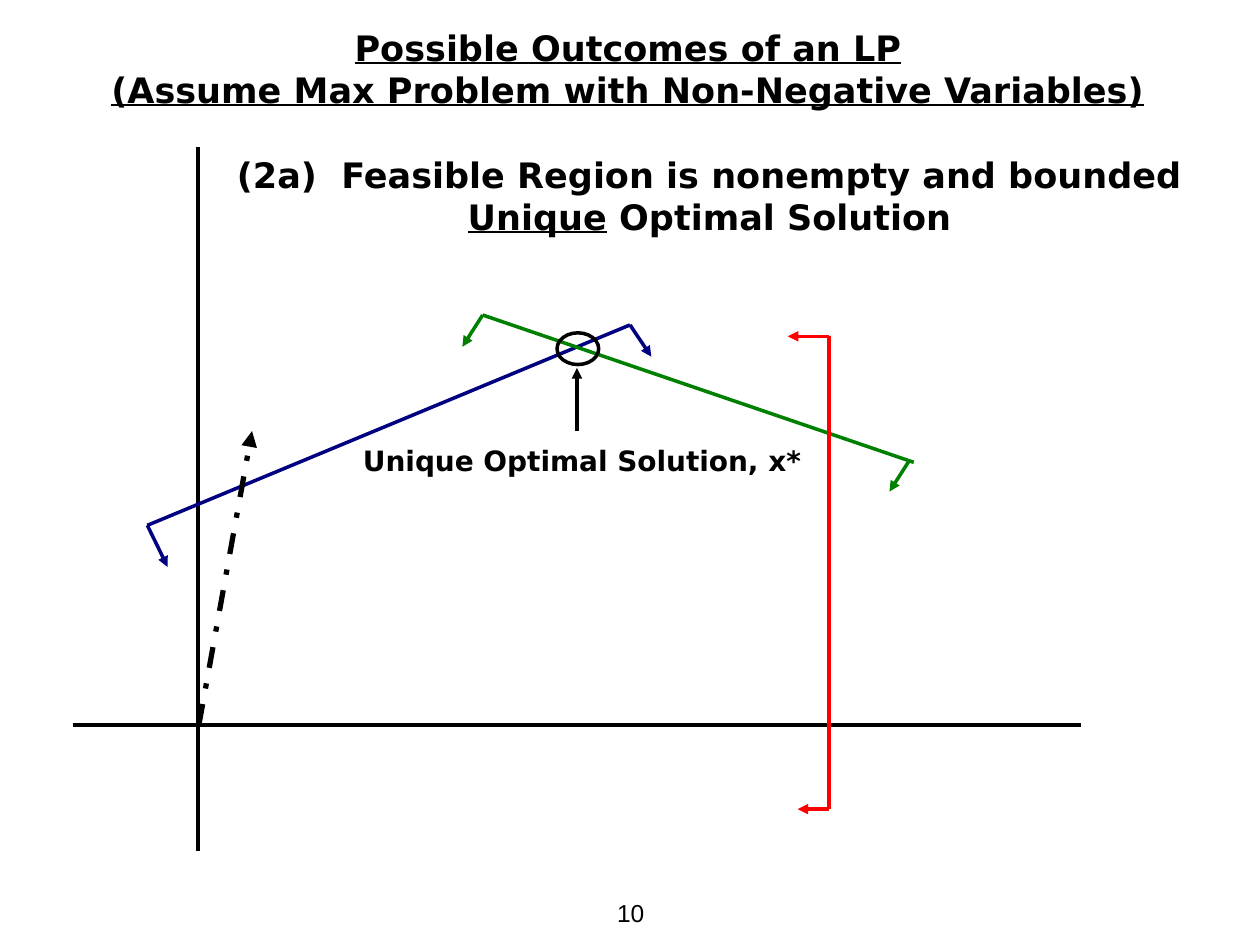
from dataclasses import dataclass

from lxml import etree
from pptx import Presentation
from pptx.dml.color import RGBColor
from pptx.enum import dml, shapes, text
from pptx.oxml import ns
from pptx.util import Cm, Pt

BLACK = RGBColor(0x00, 0x00, 0x00)
NAVY = RGBColor(0x00, 0x00, 0x80)
GREEN = RGBColor(0x00, 0x80, 0x00)
RED = RGBColor(0xFF, 0x00, 0x00)
HEAD_FONT = "DejaVu Sans"

Point = tuple[float, float]
Box = tuple[float, float, float, float]


@dataclass
class Line:
    start: Point
    end: Point
    color: RGBColor = BLACK
    arrow: bool = False
    width: float = 2
    dash: dml.MSO_LINE | None = None


@dataclass
class Run:
    text: str
    underline: bool = False


@dataclass
class Constraint:
    """A boundary line whose arrows point into the feasible half-plane."""
    start: Point
    end: Point
    color: RGBColor
    arrows: list[tuple[Point, Point]]


AXES = [Line((3.99, 2.97), (3.99, 17.15)), Line((1.47, 14.61), (21.79, 14.61))]
CONSTRAINTS = [
    Constraint((2.97, 10.59), (12.7, 6.55), NAVY,
               [((2.97, 10.59), (3.38, 11.43)), ((12.7, 6.55), (13.13, 7.19))]),
    Constraint((9.73, 6.35), (18.42, 9.32), GREEN,
               [((9.73, 6.35), (9.32, 6.99)), ((18.34, 9.27), (17.93, 9.91))]),
    Constraint((16.71, 6.78), (16.71, 16.31), RED,
               [((16.71, 6.78), (15.88, 6.78)), ((16.71, 16.31), (16.08, 16.31))]),
]
OBJECTIVE = Line((4.01, 14.61), (5.08, 8.69), arrow=True, width=3,
                 dash=dml.MSO_LINE.DASH_DOT)
POINTER = Line((11.63, 8.69), (11.63, 7.42), arrow=True)


def add_line(s, line: Line) -> None:
    c = s.shapes.add_connector(shapes.MSO_CONNECTOR.STRAIGHT,
                               *map(Cm, line.start + line.end))
    c.line.color.rgb = line.color
    c.line.width = Pt(line.width)
    if line.dash is not None:
        c.line.dash_style = line.dash
    if line.arrow:
        etree.SubElement(c.line._get_or_add_ln(), ns.qn("a:tailEnd"), type="triangle")
    etree.SubElement(c._element.spPr, ns.qn("a:effectLst"))


def add_constraint(s, constraint: Constraint) -> None:
    add_line(s, Line(constraint.start, constraint.end, constraint.color))
    for start, end in constraint.arrows:
        add_line(s, Line(start, end, constraint.color, arrow=True))


def place(sp, box: Box) -> None:
    sp.left, sp.top, sp.width, sp.height = map(Cm, box)


def write(sp, lines: list[list[Run]], size: float, font: str = HEAD_FONT,
          bold: bool = True) -> None:
    """Fill a shape with one centred paragraph, broken into lines."""
    tf = sp.text_frame
    tf.word_wrap = True
    tf.auto_size = text.MSO_AUTO_SIZE.NONE
    tf.vertical_anchor = text.MSO_ANCHOR.TOP
    p = tf.paragraphs[0]
    p.alignment = text.PP_ALIGN.CENTER
    for i, runs in enumerate(lines):
        if i:
            p.add_line_break()
        for run in runs:
            r = p.add_run()
            r.text = run.text
            r.font.name = font
            r.font.size = Pt(size)
            r.font.bold = bold
            r.font.underline = run.underline
            r.font.color.rgb = BLACK


def add_text(s, box: Box, lines: list[list[Run]], size: float, **style) -> None:
    write(s.shapes.add_textbox(*map(Cm, box)), lines, size, **style)


def add_optimum_ring(s) -> None:
    sp = s.shapes.add_shape(shapes.MSO_SHAPE.OVAL, *map(Cm, (11.23, 6.71, 0.84, 0.64)))
    sp.shadow.inherit = False
    sp.fill.background()
    sp.line.color.rgb = BLACK
    sp.line.width = Pt(2)


def main() -> None:
    prs = Presentation()
    prs.slide_width, prs.slide_height = Cm(25.4), Cm(19.05)
    s = prs.slides.add_slide(prs.slide_layouts[5])

    title = s.shapes.title
    place(title, (0.38, 0.41, 24.56, 1.96))
    write(title, [[Run("Possible Outcomes of an LP", True)],
                  [Run("(Assume Max Problem with Non-Negative Variables)", True)]], 20)

    for axis in AXES:
        add_line(s, axis)
    for constraint in CONSTRAINTS:
        add_constraint(s, constraint)
    add_line(s, OBJECTIVE)
    add_optimum_ring(s)
    add_line(s, POINTER)

    add_text(s, (4.27, 2.97, 20.07, 1.96),
             [[Run("(2a)  Feasible Region is nonempty and bounded")],
              [Run("Unique", True), Run(" Optimal Solution")]], 20)
    add_text(s, (1.7, 8.81, 20.07, 0.94), [[Run("Unique Optimal Solution, x*")]], 16)
    add_text(s, (8.69, 17.98, 8.05, 0.69), [[Run("10")]], 14, font="Arial", bold=False)

    prs.save("out.pptx")


if __name__ == "__main__":
    main()
